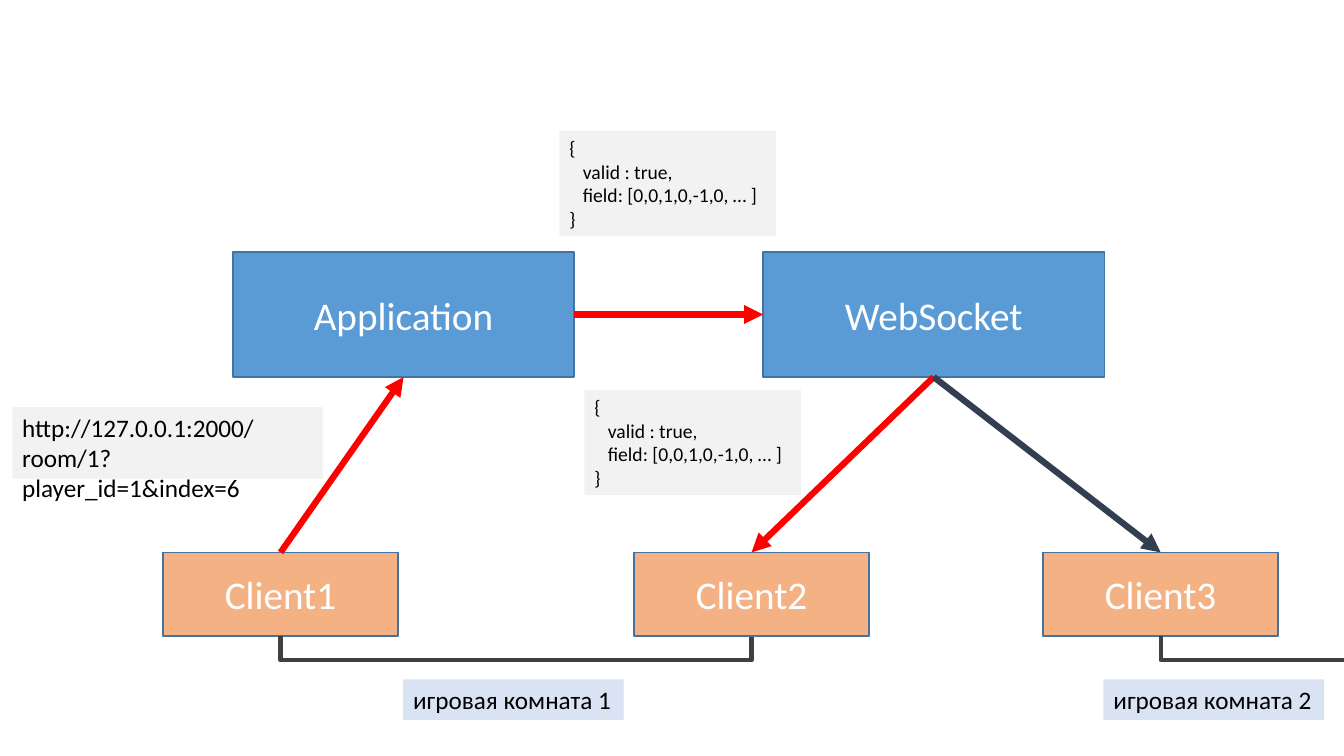
"""Draw how a game move travels from a client through the server to other clients."""
from dataclasses import dataclass

from lxml import etree
from pptx import Presentation
from pptx.dml.color import RGBColor
from pptx.enum import shapes as sh, text as tx
from pptx.oxml.ns import qn
from pptx.util import Cm, Pt

WHITE = RGBColor(0xFF, 0xFF, 0xFF)
BLACK = RGBColor(0x00, 0x00, 0x00)
BLUE = RGBColor(0x5B, 0x9B, 0xD5)
BORDER = RGBColor(0x43, 0x73, 0x9E)
ORANGE = RGBColor(0xF4, 0xB1, 0x83)
RED = RGBColor(0xFF, 0x00, 0x00)
NAVY = RGBColor(0x33, 0x3F, 0x50)
DARK_GRAY = RGBColor(0x40, 0x40, 0x40)
PALE_GRAY = RGBColor(0xF2, 0xF2, 0xF2)
PALE_BLUE = RGBColor(0xDA, 0xE3, 0xF3)

FONT = "Calibri"
TOP, LEFT, BOTTOM, RIGHT = range(4)
SERVER_TOP, SERVER_WIDTH, SERVER_HEIGHT = 6.35, 8.6, 3.15
CLIENT_TOP, CLIENT_WIDTH, CLIENT_HEIGHT = 13.92, 5.92, 2.11
ROOM_SPAN, ROOM_DROP, ROOM_SKEW = 11.87, 0.62, 0.03


@dataclass
class Node:
    name: str
    left: float
    top: float
    width: float
    height: float
    fill: RGBColor


@dataclass
class Arrow:
    source: str
    source_side: int
    target: str
    target_side: int
    color: RGBColor


@dataclass
class Note:
    lines: list[str]
    left: float
    top: float
    width: float
    height: float
    size: int
    fill: RGBColor
    wrap: bool = True


def server(name: str, left: float) -> Node:
    return Node(name, left, SERVER_TOP, SERVER_WIDTH, SERVER_HEIGHT, BLUE)


def client(name: str, left: float) -> Node:
    return Node(name, left, CLIENT_TOP, CLIENT_WIDTH, CLIENT_HEIGHT, ORANGE)


def message(left: float, top: float) -> Note:
    lines = ["{", "valid : true,", "field: [0,0,1,0,-1,0, … ]", "}"]
    return Note(lines, left, top, 5.46, 2.64, 14, PALE_GRAY)


def room(number: int, left: float) -> Note:
    return Note([f"игровая комната {number}"], left, 17.12, 5.56, 1.02, 18, PALE_BLUE, False)


NODES = [
    server("Application", 5.87),
    server("WebSocket", 19.23),
    client("Client1", 4.11),
    client("Client2", 15.98),
    client("Client3", 26.29),
]
ARROWS = [
    Arrow("Client1", TOP, "Application", BOTTOM, RED),
    Arrow("WebSocket", BOTTOM, "Client2", TOP, RED),
    Arrow("WebSocket", BOTTOM, "Client3", TOP, NAVY),
    Arrow("Application", RIGHT, "WebSocket", LEFT, RED),
]
NOTES = [
    Note(["http://127.0.0.1:2000/room/1?player_id=1&index=6"],
         0.31, 10.26, 7.82, 1.8, 18, PALE_GRAY),
    message(14.1, 3.3),
    message(14.73, 9.83),
    room(1, 10.16),
    room(2, 27.81),
]
ROOM_OWNERS = ["Client1", "Client3"]


def add_run(paragraph, words: str, size: int, color: RGBColor) -> None:
    run = paragraph.add_run()
    run.text = words
    run.font.name = FONT
    run.font.size = Pt(size)
    run.font.color.rgb = color


def draw_node(slide, node: Node):
    box = slide.shapes.add_shape(
        sh.MSO_SHAPE.RECTANGLE, Cm(node.left), Cm(node.top), Cm(node.width), Cm(node.height))
    box.shadow.inherit = False
    box.fill.solid()
    box.fill.fore_color.rgb = node.fill
    box.line.color.rgb = BORDER
    box.line.width = Pt(1)
    box.text_frame.vertical_anchor = tx.MSO_ANCHOR.MIDDLE
    label = box.text_frame.paragraphs[0]
    label.alignment = tx.PP_ALIGN.CENTER
    add_run(label, node.name, 28, WHITE)
    return box


def style_line(connector, color: RGBColor, width: float) -> None:
    connector.line.color.rgb = color
    connector.line.width = Pt(width)
    etree.SubElement(connector._element.spPr, qn("a:effectLst"))


def draw_arrow(slide, arrow: Arrow, boxes: dict) -> None:
    connector = slide.shapes.add_connector(sh.MSO_CONNECTOR.STRAIGHT, 0, 0, 0, 0)
    connector.begin_connect(boxes[arrow.source], arrow.source_side)
    connector.end_connect(boxes[arrow.target], arrow.target_side)
    style_line(connector, arrow.color, 4.5)
    outline = connector.line._get_or_add_ln()
    etree.SubElement(outline, qn("a:tailEnd"), type="triangle")


def draw_room_bracket(slide, owner: Node) -> None:
    center_x = owner.left + owner.width / 2 + ROOM_SPAN / 2
    center_y = owner.top + owner.height
    bracket = slide.shapes.add_connector(
        sh.MSO_CONNECTOR.ELBOW,
        Cm(center_x + ROOM_SKEW / 2), Cm(center_y - ROOM_SPAN / 2),
        Cm(center_x - ROOM_SKEW / 2), Cm(center_y + ROOM_SPAN / 2))
    style_line(bracket, DARK_GRAY, 3)
    properties = bracket._element.spPr
    properties.find(qn("a:xfrm")).set("rot", str(270 * 60000))
    adjustments = properties.find(qn("a:prstGeom")).find(qn("a:avLst"))
    drop = round(ROOM_DROP / ROOM_SKEW * 100000)
    etree.SubElement(adjustments, qn("a:gd"), name="adj1", fmla=f"val {drop}")


def draw_note(slide, note: Note) -> None:
    box = slide.shapes.add_textbox(
        Cm(note.left), Cm(note.top), Cm(note.width), Cm(note.height))
    box.fill.solid()
    box.fill.fore_color.rgb = note.fill
    frame = box.text_frame
    frame.word_wrap = note.wrap
    for index, line in enumerate(note.lines):
        paragraph = frame.add_paragraph() if index else frame.paragraphs[0]
        if 0 < index < len(note.lines) - 1:
            paragraph._p.get_or_add_pPr().set("marL", str(Cm(0.34)))
        add_run(paragraph, line, note.size, BLACK)


def main() -> None:
    deck = Presentation()
    deck.slide_width, deck.slide_height = Cm(33.87), Cm(19.05)
    slide = deck.slides.add_slide(deck.slide_layouts[6])
    boxes = {node.name: draw_node(slide, node) for node in NODES}
    for arrow in ARROWS:
        draw_arrow(slide, arrow, boxes)
    for note in NOTES:
        draw_note(slide, note)
    for node in NODES:
        if node.name in ROOM_OWNERS:
            draw_room_bracket(slide, node)
    deck.save("out.pptx")


if __name__ == "__main__":
    main()
